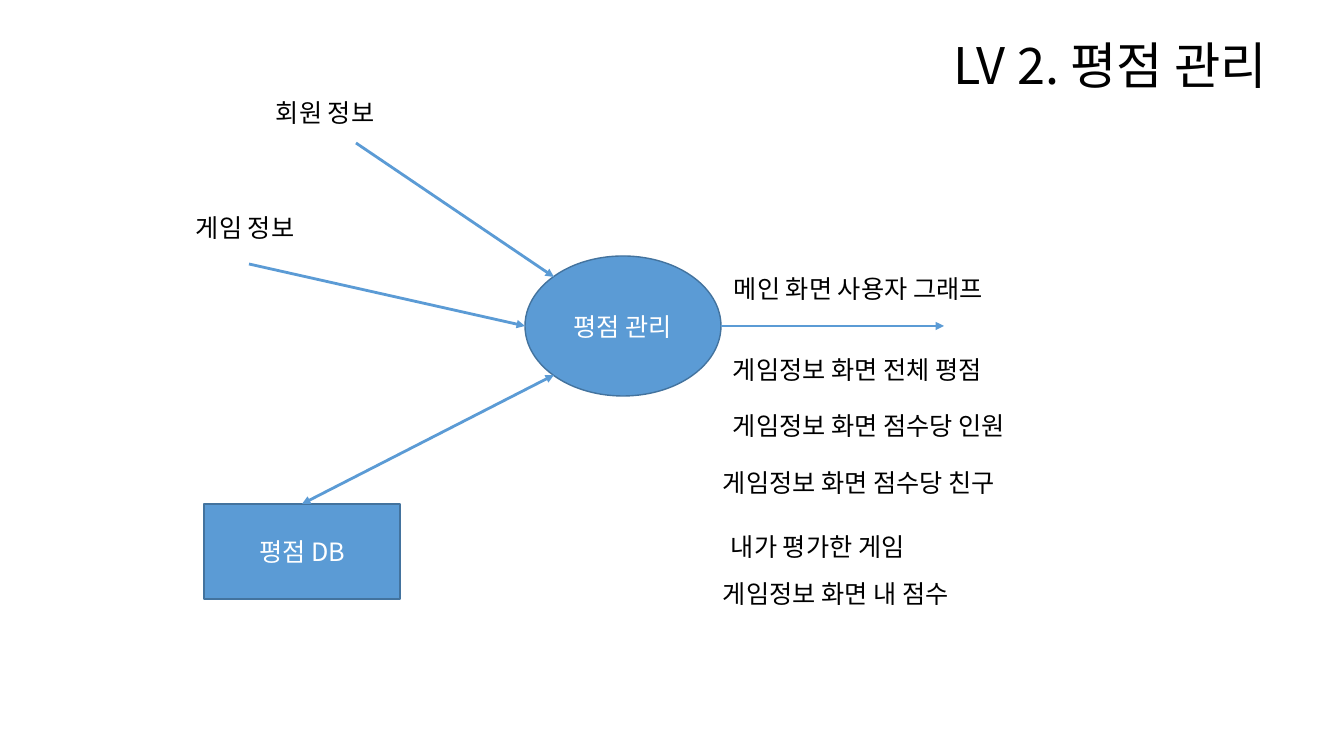
from math import sqrt

from lxml.etree import SubElement
from pptx import Presentation
from pptx.dml.color import RGBColor
from pptx.enum.shapes import MSO_CONNECTOR, MSO_SHAPE
from pptx.enum.text import MSO_ANCHOR, PP_ALIGN
from pptx.oxml.ns import qn
from pptx.util import Inches, Pt

FONT = "Noto Sans CJK KR"
BLUE = RGBColor(0x5B, 0x9B, 0xD5)
EDGE = RGBColor(0x43, 0x73, 0x9E)
BLACK = RGBColor(0, 0, 0)
WHITE = RGBColor(255, 255, 255)

TITLE = ("LV 2. 평점 관리", 944, 29, 379, 72)
PROCESS = ("평점 관리", 525, 256, 196, 140)
STORE = ("평점 DB", 204, 504, 196, 95)
LABEL_H = 40
LABELS = [
    ("회원 정보", 266, 92, 148),
    ("게임 정보", 186, 207, 148),
    ("메인 화면 사용자 그래프", 724, 268, 318),
    ("게임정보 화면 전체 평점", 723, 349, 319),
    ("게임정보 화면 점수당 인원", 723, 405, 346),
    ("게임정보 화면 점수당 친구", 713, 462, 329),
    ("내가 평가한 게임", 721, 526, 238),
    ("게임정보 화면 내 점수", 713, 573, 329),
]
MEMBER_START = (356, 143)
GAME_START = (249, 264)
OUTPUT_END_X = 944


def px(n):
    return Inches(n / 100.8)


def write(sp, text, size=18, color=BLACK, align=PP_ALIGN.LEFT, anchor=MSO_ANCHOR.TOP):
    tf = sp.text_frame
    tf.word_wrap = True
    tf.vertical_anchor = anchor
    p = tf.paragraphs[0]
    p.alignment = align
    r = p.add_run()
    r.text = text
    r.font.size = Pt(size)
    r.font.name = FONT
    r.font.color.rgb = color
    SubElement(r.font._element, qn("a:ea"), typeface=FONT)


def add_label(s, text, x, y, w, h=LABEL_H, size=18):
    write(s.shapes.add_textbox(px(x), px(y), px(w), px(h)), text, size=size)


def add_node(s, kind, text, x, y, w, h):
    sp = s.shapes.add_shape(kind, px(x), px(y), px(w), px(h))
    sp.shadow.inherit = False
    sp.fill.solid()
    sp.fill.fore_color.rgb = BLUE
    sp.line.color.rgb = EDGE
    sp.line.width = Pt(1)
    write(sp, text, color=WHITE, align=PP_ALIGN.CENTER, anchor=MSO_ANCHOR.MIDDLE)
    return sp


def add_arrow(s, start, end, both=False):
    points = [px(n) for n in (*start, *end)]
    cn = s.shapes.add_connector(MSO_CONNECTOR.STRAIGHT, *points)
    cn.line.color.rgb = BLUE
    cn.line.width = Pt(2)
    ln = cn.line._get_or_add_ln()
    for tag in ("a:headEnd", "a:tailEnd") if both else ("a:tailEnd",):
        SubElement(ln, qn(tag), type="triangle")
    SubElement(cn._element.spPr, qn("a:effectLst"))
    return cn


def main():
    prs = Presentation()
    prs.slide_width, prs.slide_height = px(1344), px(756)
    s = prs.slides.add_slide(prs.slide_layouts[6])

    add_node(s, MSO_SHAPE.OVAL, *PROCESS)
    store = add_node(s, MSO_SHAPE.RECTANGLE, *STORE)
    add_label(s, *TITLE, size=36)
    for label in LABELS:
        add_label(s, *label)

    _, x, y, w, h = PROCESS
    mid_x, mid_y = x + w / 2, y + h / 2
    diag_x = round(mid_x - w / 2 / sqrt(2))
    diag_dy = round(h / 2 / sqrt(2))
    _, store_x, store_y, store_w, _ = STORE

    add_arrow(s, MEMBER_START, (diag_x, mid_y - diag_dy))
    add_arrow(s, GAME_START, (x, mid_y))
    add_arrow(s, (x + w, mid_y), (OUTPUT_END_X, mid_y))
    link = add_arrow(s, (diag_x, mid_y + diag_dy), (store_x + store_w / 2, store_y), both=True)
    link.end_connect(store, 0)

    prs.save("out.pptx")


if __name__ == "__main__":
    main()
